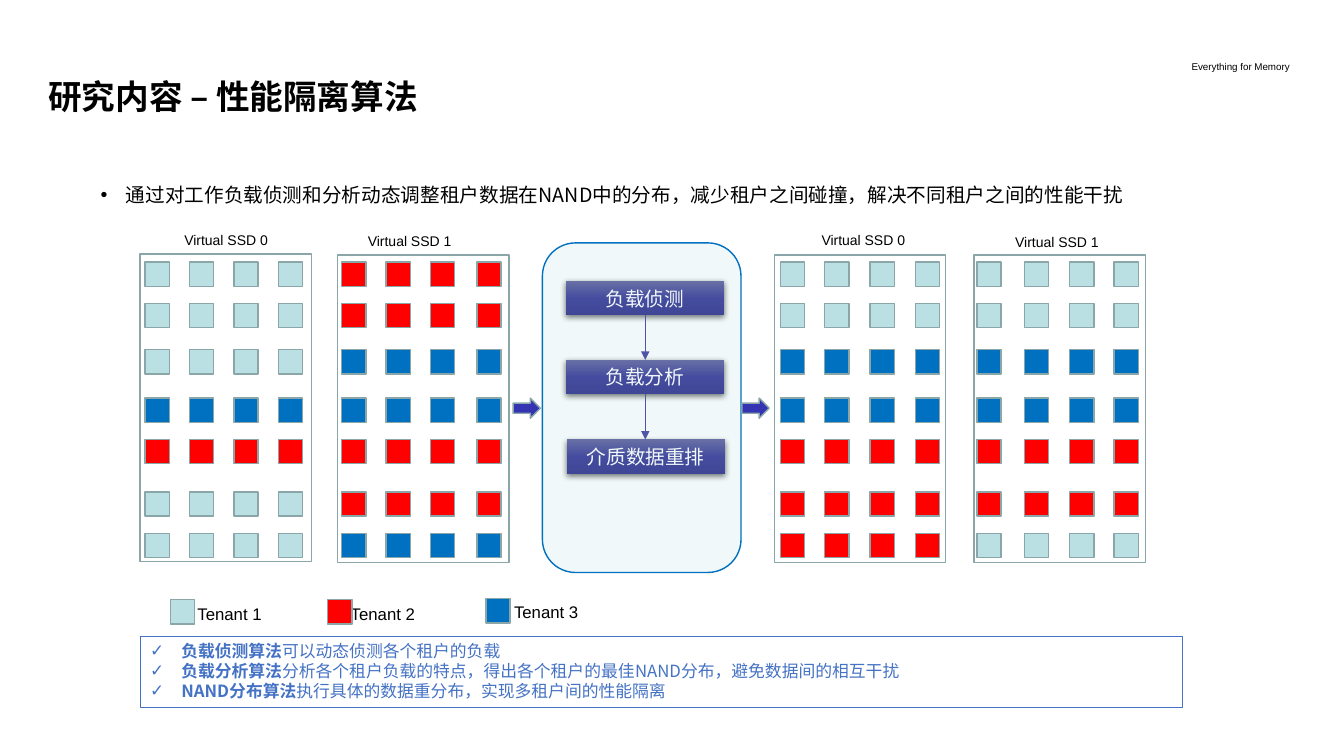
from typing import NamedTuple

from lxml import etree
from pptx import Presentation
from pptx import util as u
from pptx.dml.color import RGBColor
from pptx.enum import shapes, text
from pptx.oxml import parse_xml
from pptx.oxml.ns import nsdecls, qn

EMU_PER_PX = 9144  # 100 px to the inch
CJK = "Noto Sans CJK SC"
COLORS = {
    "black": "000000", "white": "FFFFFF", "tenant1": "BBE0E3", "tenant2": "FF0000",
    "tenant3": "0070C0", "outline": "8AA6A8", "arrow": "3433B2", "link": "333399",
    "note": "4472C4", "step_top": "545497", "step_middle": "28288E", "step_bottom": "202082",
}
TENANTS = {"1": "tenant1", "2": "tenant2", "3": "tenant3"}
CELL = 24
ROW_TOPS = (260, 301, 347, 395, 436, 488, 529)


class Box(NamedTuple):
    left: int
    top: int
    width: int
    height: int


class Run(NamedTuple):
    words: str
    size: float
    color: str = "black"
    bold: bool = False
    font: str = CJK


class Drive(NamedTuple):
    name: str
    label: Box
    frame: Box
    columns: tuple[int, ...]
    tenant_rows: str


class Legend(NamedTuple):
    name: str
    label: Box
    swatch: Box


DRIVES = (
    Drive("Virtual SSD 0", Box(173, 225, 107, 27), Box(139, 252, 170, 305),
          (144, 188, 232, 276), "1113211"),
    Drive("Virtual SSD 1", Box(355, 226, 107, 27), Box(335, 253, 170, 305),
          (339, 383, 427, 473), "2233223"),
    Drive("Virtual SSD 0", Box(805, 225, 107, 27), Box(768, 253, 170, 305),
          (774, 818, 863, 908), "1133222"),
    Drive("Virtual SSD 1", Box(997, 227, 107, 27), Box(966, 253, 170, 305),
          (969, 1016, 1061, 1105), "1133221"),
)
LEGENDS = (
    Legend("Tenant 1", Box(186, 594, 87, 30), Box(169, 595, CELL, CELL)),
    Legend("Tenant 2", Box(338, 594, 114, 30), Box(325, 595, CELL, CELL)),
    Legend("Tenant 3", Box(500, 592, 117, 30), Box(482, 594, CELL, CELL)),
)
STEPS = {
    "负载侦测": Box(561, 279, 157, 34),
    "负载分析": Box(561, 357, 157, 34),
    "介质数据重排": Box(562, 436, 157, 34),
}
NOTES = (
    ("负载侦测算法", "可以动态侦测各个租户的负载"),
    ("负载分析算法", "分析各个租户负载的特点，得出各个租户的最佳NAND分布，避免数据间的相互干扰"),
    ("NAND分布算法", "执行具体的数据重分布，实现多租户间的性能隔离"),
)

presentation = Presentation()


def px(length: int) -> u.Emu:
    return u.Emu(length * EMU_PER_PX)


def place(box: Box) -> tuple[u.Emu, ...]:
    return tuple(px(length) for length in box)


def rgb(name: str) -> RGBColor:
    return RGBColor.from_string(COLORS[name])


def add_shape(slide, kind, box: Box, fill: str | None, line: str | None, weight: float = 1):
    shape = slide.shapes.add_shape(kind, *place(box))
    shape.shadow.inherit = False
    if fill:
        shape.fill.solid()
        shape.fill.fore_color.rgb = rgb(fill)
    else:
        shape.fill.background()
    if line:
        shape.line.color.rgb = rgb(line)
        shape.line.width = u.Pt(weight)
    else:
        shape.line.fill.background()
    return shape


def add_bullet(paragraph, mark: str, indent: int) -> None:
    properties = paragraph._p.get_or_add_pPr()
    properties.set("marL", str(px(indent)))
    properties.set("indent", str(-px(indent)))
    etree.SubElement(properties, qn("a:buFont")).set("typeface", "Arial")
    etree.SubElement(properties, qn("a:buChar")).set("char", mark)


def write(paragraph, *runs: Run) -> None:
    for item in runs:
        run = paragraph.add_run()
        run.text = item.words
        run.font.size = u.Pt(item.size)
        run.font.bold = item.bold
        run.font.name = item.font
        run.font.color.rgb = rgb(item.color)
        east_asian = etree.SubElement(run.font._element, qn("a:ea"))
        east_asian.set("typeface", CJK)


def add_text(slide, box: Box, run: Run):
    shape = slide.shapes.add_textbox(*place(box))
    frame = shape.text_frame
    frame.word_wrap = True
    frame.margin_right = 0
    write(frame.paragraphs[0], run)
    return frame


def add_step(slide, name: str, box: Box) -> None:
    """Draw a flow step with a vertical gradient and a soft shadow."""
    shape = add_shape(slide, shapes.MSO_SHAPE.RECTANGLE, box, "step_middle", None)
    properties = shape._element.spPr
    stops = "".join(
        f'<a:gs pos="{position}"><a:srgbClr val="{COLORS[color]}"/></a:gs>'
        for position, color in ((0, "step_top"), (50000, "step_middle"), (100000, "step_bottom")))
    properties.replace(properties.find(qn("a:solidFill")), parse_xml(
        f'<a:gradFill {nsdecls("a")} rotWithShape="1"><a:gsLst>{stops}</a:gsLst>'
        '<a:lin ang="5400000" scaled="0"/></a:gradFill>'))
    properties.find(qn("a:effectLst")).append(parse_xml(
        f'<a:outerShdw {nsdecls("a")} blurRad="57150" dist="19050" dir="5400000" algn="ctr" '
        'rotWithShape="0"><a:srgbClr val="000000"><a:alpha val="63000"/></a:srgbClr></a:outerShdw>'))
    frame = shape.text_frame
    frame.margin_top = frame.margin_bottom = 0
    frame.vertical_anchor = text.MSO_ANCHOR.MIDDLE
    frame.paragraphs[0].alignment = text.PP_ALIGN.CENTER
    write(frame.paragraphs[0], Run(name, 14, "white", font="Arial"))


def add_link(slide, x: int, top: int, bottom: int) -> None:
    connector = slide.shapes.add_connector(
        shapes.MSO_CONNECTOR.STRAIGHT, px(x), px(top), px(x), px(bottom))
    connector.line.color.rgb = rgb("link")
    connector.line.width = u.Pt(1)
    etree.SubElement(connector.line._get_or_add_ln(), qn("a:tailEnd")).set("type", "triangle")
    etree.SubElement(connector._element.spPr, qn("a:effectLst"))


def add_notes_box(slide) -> None:
    box = add_shape(slide, shapes.MSO_SHAPE.RECTANGLE, Box(139, 631, 1034, 71), None, "note", 0.75)
    frame = box.text_frame
    frame.vertical_anchor = text.MSO_ANCHOR.TOP
    for index, (term, explanation) in enumerate(NOTES):
        paragraph = frame.add_paragraph() if index else frame.paragraphs[0]
        add_bullet(paragraph, "✓", 31)
        paragraph.alignment = text.PP_ALIGN.LEFT
        paragraph.line_spacing = u.Pt(14.3)
        write(paragraph, Run(term, 12, "note", True), Run(explanation, 12, "note"))


def main() -> None:
    presentation.slide_width, presentation.slide_height = px(1333), px(750)
    slide = presentation.slides.add_slide(presentation.slide_layouts[6])
    rectangle = shapes.MSO_SHAPE.RECTANGLE

    add_text(slide, Box(1172, 55, 118, 22), Run("Everything for Memory", 7, font="Arial"))
    title = add_text(slide, Box(38, 56, 1150, 83), Run("研究内容 – 性能隔离算法", 24, bold=True))
    title.vertical_anchor = text.MSO_ANCHOR.MIDDLE
    title.paragraphs[0].line_spacing = 0.9
    summary = add_text(slide, Box(90, 169, 1148, 527), Run(
        "通过对工作负载侦测和分析动态调整租户数据在NAND中的分布，减少租户之间碰撞，解决不同租户之间的性能干扰", 14))
    summary.margin_top = px(12)
    add_bullet(summary.paragraphs[0], "•", 25)

    for drive in DRIVES:
        add_text(slide, drive.label, Run(drive.name, 10, font="Arial"))
        for top, tenant in zip(ROW_TOPS, drive.tenant_rows):
            for left in drive.columns:
                add_shape(slide, rectangle, Box(left, top, CELL, CELL), TENANTS[tenant], "outline")
    for legend, color in zip(LEGENDS, TENANTS.values()):
        add_text(slide, legend.label, Run(legend.name, 12, font="Arial"))
        add_shape(slide, rectangle, legend.swatch, color, "outline")

    for name, box in STEPS.items():
        add_step(slide, name, box)
    boxes = list(STEPS.values())
    for upper, lower in zip(boxes, boxes[1:]):
        add_link(slide, 640, upper.top + upper.height, lower.top)

    veil = add_shape(slide, shapes.MSO_SHAPE.ROUNDED_RECTANGLE, Box(538, 241, 197, 327),
                     "tenant1", "tenant3")
    veil_color = veil._element.spPr.find(qn("a:solidFill"))[0]
    etree.SubElement(veil_color, qn("a:alpha")).set("val", "20000")
    for left in (509, 736):
        add_shape(slide, shapes.MSO_SHAPE.RIGHT_ARROW, Box(left, 395, 27, 20), "arrow", "outline")
    for drive in DRIVES:
        add_shape(slide, rectangle, drive.frame, None, "outline")
    add_notes_box(slide)
    presentation.save("out.pptx")


if __name__ == "__main__":
    main()
